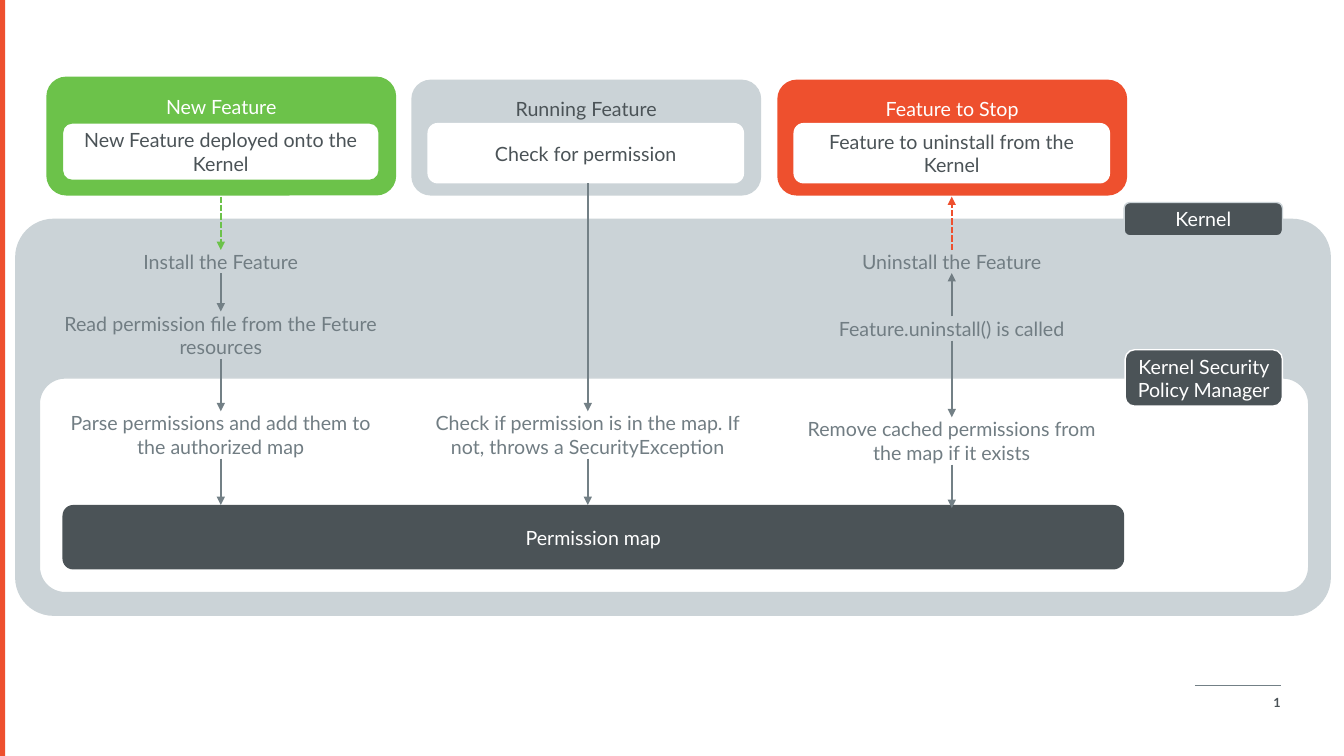
from lxml import etree
from pptx import Presentation
from pptx.dml.color import RGBColor
from pptx.enum.dml import MSO_LINE
from pptx.enum.shapes import MSO_CONNECTOR, MSO_SHAPE
from pptx.enum.text import MSO_ANCHOR, PP_ALIGN
from pptx.oxml.ns import qn
from pptx.util import Inches, Pt

ROUNDED, RECTANGLE = MSO_SHAPE.ROUNDED_RECTANGLE, MSO_SHAPE.RECTANGLE
STRAIGHT = MSO_CONNECTOR.STRAIGHT
DASHED = MSO_LINE.SQUARE_DOT
TOP, MIDDLE = MSO_ANCHOR.TOP, MSO_ANCHOR.MIDDLE
CENTER, RIGHT = PP_ALIGN.CENTER, PP_ALIGN.RIGHT

WHITE, DARK, PALE = "FFFFFF", "4B5357", "CBD3D7"
GREEN, ORANGE, GREY, TEXT_GREY = "6CC24A", "EE502E", "738086", "717D83"
FONT = "Lato"
CARD_WIDTH, STEP_WIDTH, INSET = 3.47, 3.14, 0.16
CARD_BOTTOM, PANEL_TOP, MAP_TOP = 1.94, 1.22, 5.01
INSTALL_X, CHECK_X, STOP_X = 2.19, 5.83, 9.44

CARDS = [
    (0.46, 0.76, GREEN, WHITE, "New Feature",
     0.57, GREEN, "New Feature deployed onto the Kernel"),
    (4.08, 0.79, PALE, DARK, "Running Feature",
     0.6, None, "Check for permission"),
    (7.71, 0.79, ORANGE, WHITE, "Feature to Stop",
     0.6, None, "Feature to uninstall from the Kernel"),
]
STEPS = [
    (INSTALL_X, 2.48, 0.24, "Install the Feature"),
    (INSTALL_X, 3.09, 0.47, "Read permission file from the Feture resources"),
    (INSTALL_X, 4.08, 0.47, "Parse permissions and add them to the authorized map"),
    (CHECK_X, 4.08, 0.47,
     "Check if permission is in the map. If not, throws a SecurityException"),
    (STOP_X, 2.48, 0.24, "Uninstall the Feature"),
    (STOP_X, 3.14, 0.24, "Feature.uninstall() is called"),
    (STOP_X, 4.14, 0.47, "Remove cached permissions from the map if it exists"),
]
ARROWS = [
    (INSTALL_X, 1.95, 2.48, GREEN, DASHED),
    (INSTALL_X, 2.71, 3.09, GREY, None),
    (INSTALL_X, 3.56, 4.08, GREY, None),
    (INSTALL_X, 4.55, MAP_TOP, GREY, None),
    (CHECK_X, 1.82, 4.08, GREY, None),
    (CHECK_X, 4.55, MAP_TOP, GREY, None),
    (STOP_X, 2.48, 1.95, ORANGE, DASHED),
    (STOP_X, 3.14, 2.71, TEXT_GREY, None),
    (STOP_X, 3.38, 4.14, GREY, None),
    (STOP_X, 4.61, 5.04, GREY, None),
]


def rgb(color):
    """Turn a hex string into a colour."""
    return RGBColor.from_string(color)


def set_attributes(target, values):
    """Set each named value on the target."""
    for name, value in values.items():
        setattr(target, name, value)


def set_frame(frame, anchor, side=0.0, top=0.0):
    """Wrap the text frame and set its anchor and margins."""
    set_attributes(frame, {
        "word_wrap": True, "vertical_anchor": anchor,
        "margin_left": Inches(side), "margin_right": Inches(side),
        "margin_top": Inches(top), "margin_bottom": 0,
    })


def write(frame, text, color):
    """Write one centred paragraph."""
    paragraph = frame.paragraphs[0]
    paragraph.text = text
    paragraph.alignment = CENTER
    set_attributes(paragraph.runs[0].font, {"name": FONT, "size": Pt(14)})
    paragraph.runs[0].font.color.rgb = rgb(color)
    return paragraph


def add_block(slide, box, fill, text="", color=WHITE, line=None,
              radius=0.167, geometry=ROUNDED, anchor=MIDDLE, top=0.0):
    """Add a filled shape with optional text and outline."""
    block = slide.shapes.add_shape(geometry, *map(Inches, box))
    block.shadow.inherit = False
    block.fill.solid()
    block.fill.fore_color.rgb = rgb(fill)
    if geometry == ROUNDED:
        block.adjustments[0] = radius
    if line:
        block.line.color.rgb = rgb(line)
        block.line.width = Pt(1)
    else:
        block.line.fill.background()
    if text:
        set_frame(block.text_frame, anchor, 0.1, top)
        write(block.text_frame, text, color)


def add_card(slide, left, top, fill, color, title, height, line, detail):
    """Add a feature card with its white detail panel."""
    add_block(slide, (left, top, CARD_WIDTH, CARD_BOTTOM - top), fill,
              title, color, anchor=TOP, top=0.12)
    add_block(slide, (left + INSET, PANEL_TOP, STEP_WIDTH, height), WHITE,
              detail, DARK, line=line)


def add_step(slide, center, top, height, text):
    """Add a step label centred on its column."""
    step = slide.shapes.add_textbox(
        Inches(center - STEP_WIDTH / 2), Inches(top),
        Inches(STEP_WIDTH), Inches(height))
    set_frame(step.text_frame, TOP)
    write(step.text_frame, text, TEXT_GREY).space_after = Pt(6)


def add_line(slide, start, end, color, width, dash=None, arrow=False):
    """Add a straight line, dashed or with an arrowhead if asked."""
    line = slide.shapes.add_connector(STRAIGHT, *map(Inches, start + end))
    line.line.color.rgb = rgb(color)
    line.line.width = Pt(width)
    if dash:
        line.line.dash_style = dash
    if arrow:
        etree.SubElement(line.line._get_or_add_ln(), qn("a:tailEnd"), type="triangle")
    etree.SubElement(line._element.spPr, qn("a:effectLst"))


def add_page_number(slide):
    """Add the slide number as a field."""
    number = slide.shapes.add_textbox(*map(Inches, (12.21, 6.77, 0.59, 0.4)))
    set_frame(number.text_frame, MIDDLE, 0.1)
    paragraph = number.text_frame.paragraphs[0]
    paragraph.alignment = RIGHT
    run = paragraph.add_run()
    run.text = "1"
    set_attributes(run.font, {"name": FONT, "size": Pt(9), "bold": True})
    run.font.color.rgb = rgb(DARK)
    field = etree.SubElement(
        paragraph._p, qn("a:fld"), type="slidenum",
        id="{B6F15528-21DE-4FAA-801E-634DDDAF4B2B}")
    field.extend(list(run._r))
    paragraph._p.remove(run._r)


def main():
    """Build the permission flow slide."""
    deck = Presentation()
    deck.slide_width, deck.slide_height = Inches(13.33), Inches(7.5)
    slide = deck.slides.add_slide(deck.slide_layouts[6])
    add_page_number(slide)
    add_line(slide, (11.85, 6.8), (12.71, 6.8), GREY, 0.75)
    add_block(slide, (0, 0, 0.05, 7.5), ORANGE, geometry=RECTANGLE)
    add_block(slide, (0.15, 2.17, 13.05, 3.94), PALE, radius=0.097)
    add_block(slide, (0.39, 3.75, 12.59, 2.13), WHITE, line=PALE, radius=0.12)
    add_block(slide, (0.62, MAP_TOP, 10.53, 0.64), DARK, "Permission map")
    for card in CARDS:
        add_card(slide, *card)
    for center, start, end, color, dash in ARROWS:
        add_line(slide, (center, start), (center, end), color, 1.5, dash, True)
    add_block(slide, (11.15, 2.01, 1.57, 0.33), DARK, "Kernel", line=PALE)
    add_block(slide, (11.16, 3.47, 1.56, 0.56), DARK,
              "Kernel Security Policy Manager", line=WHITE)
    for step in STEPS:
        add_step(slide, *step)
    deck.save("out.pptx")


if __name__ == "__main__":
    main()
